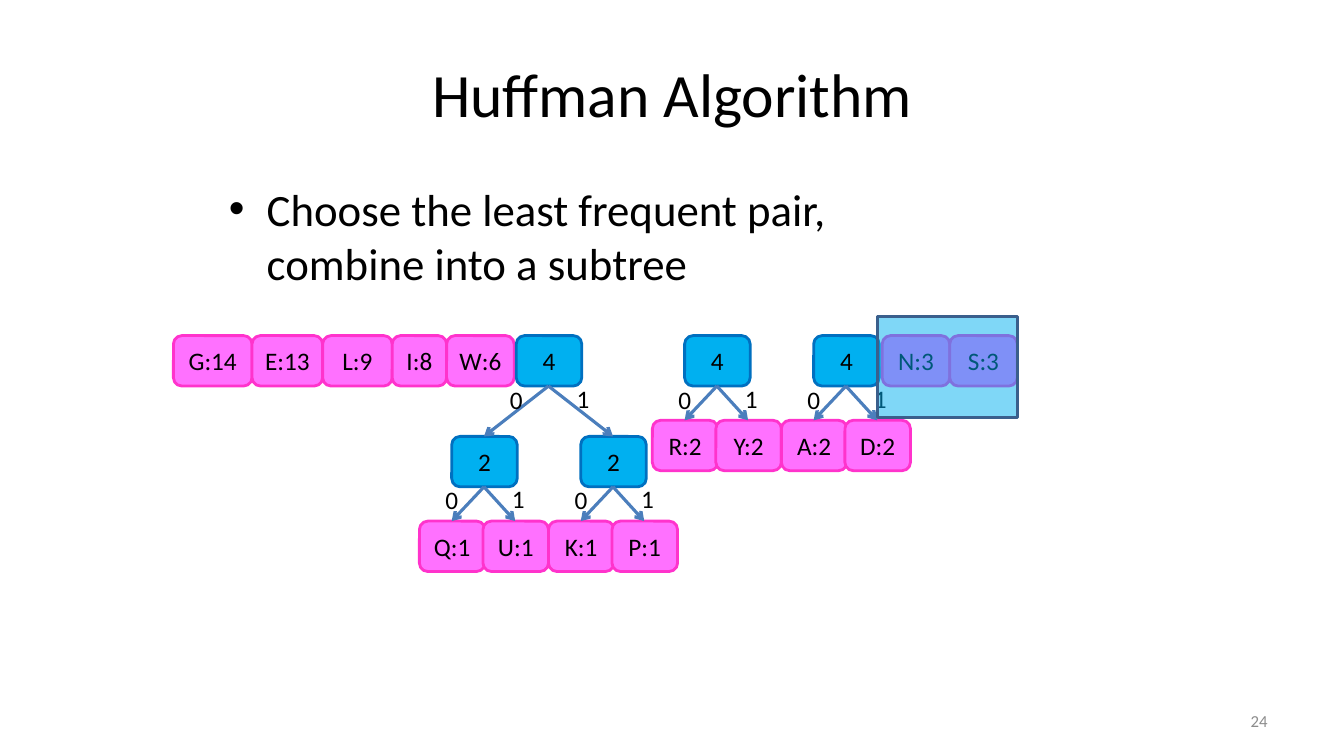
from lxml import etree
from pptx import Presentation
from pptx import util as u
from pptx.dml.color import RGBColor
from pptx.enum import shapes, text
from pptx.oxml.ns import qn

# Content
TITLE = "Huffman Algorithm"
BULLET = "Choose the least frequent pair, combine into a subtree"
PAGE = "24"
# Rows of single letters: left edge, then (label, width)
ROWS = [
    (172, [("G:14", 78), ("E:13", 70), ("L:9", 69), ("I:8", 54), ("W:6", 67)]),
    (875, [("N:3", 67), ("S:3", 67)]),
]
# Subtrees: left edge of the root, then (label, zero branch, one branch)
TREES = [
    (512, ("4", ("2", "Q:1", "U:1"), ("2", "K:1", "P:1"))),
    (679, ("4", "R:2", "Y:2")),
    (807, ("4", "A:2", "D:2")),
]

# Lengths in px, 100 to the inch
PX = 9144
TOP, NODE_W, NODE_H = 333, 65, 50
LEAF_STEP, LEAF_DROP = (-32, 31), 84
BRANCH_STEP, BRANCH_DROP = (-64, 64), 100
BITS = [("0", -16, 43), ("1", 50, 42)]
HIGHLIGHT = (870, 314, 139, 100)

FONT = "Calibri"
BLACK = RGBColor(0x00, 0x00, 0x00)
GREY = RGBColor(0x8C, 0x8C, 0x8C)
PINK = RGBColor(0xFF, 0x71, 0xFF)
PINK_EDGE = RGBColor(0xFF, 0x33, 0xCC)
BLUE = RGBColor(0x00, 0xB0, 0xF0)
BLUE_EDGE = RGBColor(0x00, 0x70, 0xC0)
ARROW = RGBColor(0x4B, 0x7E, 0xBC)
HIGHLIGHT_EDGE = RGBColor(0x3A, 0x5F, 0x8C)


def px(*lengths):
    return [u.Emu(length * PX) for length in lengths]


def write(shape, words, size, color=BLACK, align=None):
    paragraph = shape.text_frame.paragraphs[0]
    paragraph.alignment = align
    run = paragraph.add_run()
    run.text = words
    run.font.name, run.font.size = FONT, u.Pt(size)
    run.font.color.rgb = color
    return paragraph


def place(shape, *box):
    shape.left, shape.top, shape.width, shape.height = px(*box)


def add_block(target, kind, box, fill, edge):
    shape = target.add_shape(kind, *px(*box))
    shape.shadow.inherit = False
    shape.fill.solid()
    shape.fill.fore_color.rgb = fill
    shape.line.color.rgb = edge
    shape.line.width = u.Pt(2)
    return shape


def add_node(target, label, left, top, width=NODE_W, fill=PINK, edge=PINK_EDGE):
    shape = add_block(target, shapes.MSO_SHAPE.ROUNDED_RECTANGLE,
                      (left, top, width, NODE_H), fill, edge)
    frame = shape.text_frame
    frame.margin_left = frame.margin_right = 0
    frame.vertical_anchor = text.MSO_ANCHOR.MIDDLE
    write(shape, label, 18, align=text.PP_ALIGN.CENTER)


def add_arrow(target, *ends):
    line = target.add_connector(shapes.MSO_CONNECTOR.STRAIGHT, *px(*ends))
    line.line.color.rgb = ARROW
    line.line.width = u.Pt(2.25)
    etree.SubElement(line.line._get_or_add_ln(), qn("a:tailEnd"), type="arrow")
    etree.SubElement(line._element.spPr, qn("a:effectLst"))


def add_text(target, words, box, size, color=BLACK, align=None):
    shape = target.add_textbox(*px(*box))
    write(shape, words, size, color, align)
    return shape


def add_tree(target, tree, left, top):
    if isinstance(tree, str):
        add_node(target, tree, left, top)
        return
    label, *branches = tree
    leaves = isinstance(branches[0], str)
    steps, drop = (LEAF_STEP, LEAF_DROP) if leaves else (BRANCH_STEP, BRANCH_DROP)
    for branch, step in zip(branches, steps):
        add_tree(target, branch, left + step, top + drop)
    add_node(target, label, left, top, fill=BLUE, edge=BLUE_EDGE)
    center = left + NODE_W // 2
    for step in steps:
        add_arrow(target, center, top + NODE_H, center + step, top + drop)
    for bit, across, down in BITS:
        shape = add_text(target, bit, (left + across, top + down, 33, 40), 18)
        shape.text_frame.word_wrap = False


presentation = Presentation()
presentation.slide_width, presentation.slide_height = px(1333, 750)
slide = presentation.slides.add_slide(presentation.slide_layouts[1])

# Title and bullet
title, body = slide.placeholders
place(title, 67, 30, 1200, 125)
write(title, TITLE, 44, align=text.PP_ALIGN.CENTER)
place(body, 217, 175, 740, 125)
body.text_frame.auto_size = text.MSO_AUTO_SIZE.NONE
write(body, BULLET, 32).space_before = u.Pt(0)

# Slide number
number = add_text(slide.shapes, PAGE, (956, 695, 311, 40), 12, GREY,
                  text.PP_ALIGN.RIGHT)
number.text_frame.word_wrap = True
number.text_frame.vertical_anchor = text.MSO_ANCHOR.MIDDLE

# Single letters
for left, letters in ROWS:
    for label, width in letters:
        add_node(slide.shapes, label, left, TOP, width)
        left += width

# Subtrees
for left, tree in TREES:
    add_tree(slide.shapes.add_group_shape().shapes, tree, left, TOP)

# Highlight over the next pair
highlight = add_block(slide.shapes, shapes.MSO_SHAPE.RECTANGLE, HIGHLIGHT,
                      BLUE, HIGHLIGHT_EDGE)
fill_color = highlight._element.spPr.find(qn("a:solidFill"))[0]
etree.SubElement(fill_color, qn("a:alpha"), val="50000")

presentation.save("out.pptx")
